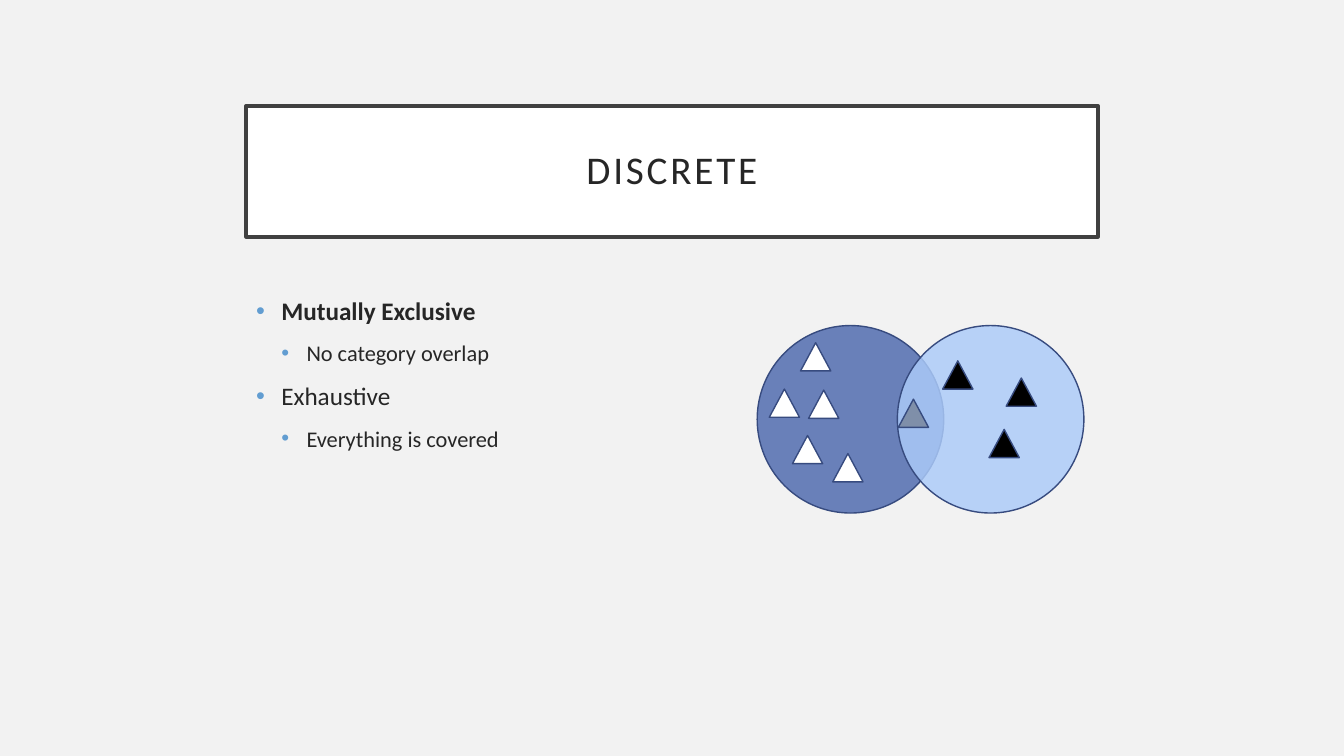
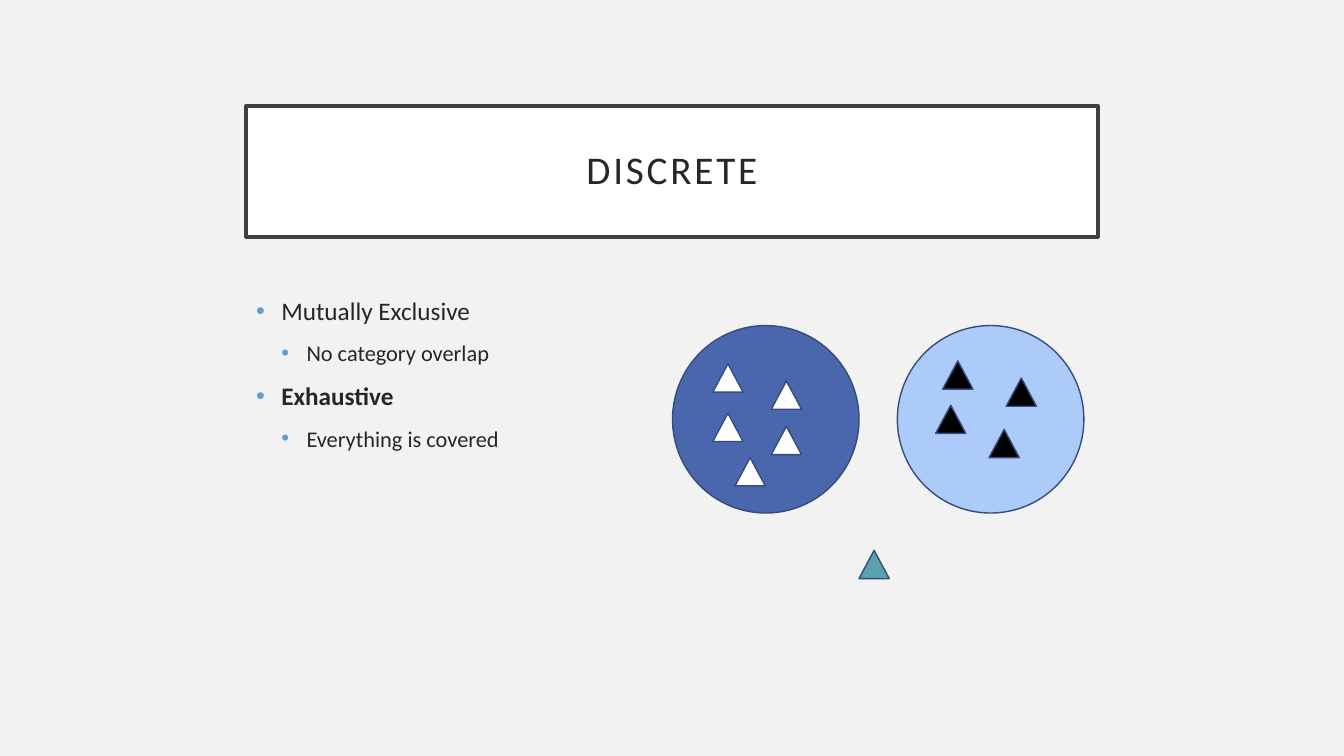
import pptx
import pptx.util
import pptx.dml.color
import pptx.enum.shapes
import pptx.enum.text
import pptx.oxml
import pptx.oxml.ns

Inches = pptx.util.Inches
Pt = pptx.util.Pt
Shape = pptx.enum.shapes.MSO_SHAPE
qn = pptx.oxml.ns.qn


class Theme:
    font = "Calibri"
    back = "F2F2F2"
    white = "FFFFFF"
    black = "000000"
    text = "262626"
    frame = "404040"
    bullet = "629DD1"
    edge = "374B7F"
    navy = "4A66AC"
    sky = "ACCBF9"
    slate = "7F8FA9"
    teal = "5AA2AE"
    head = 28
    sizes = (18, 16)


def paint(item, fill, edge, width):
    item.fill.solid()
    item.fill.fore_color.rgb = pptx.dml.color.RGBColor.from_string(fill)
    item.line.color.rgb = pptx.dml.color.RGBColor.from_string(edge)
    item.line.width = Pt(width)


def style(para, size, bold=False):
    para.font.name = Theme.font
    para.font.size = Pt(size)
    para.font.bold = bold
    para.font.color.rgb = pptx.dml.color.RGBColor.from_string(Theme.text)


points = [
    (0, "Mutually Exclusive"),
    (1, "No category overlap"),
    (0, "Exhaustive"),
    (1, "Everything is covered"),
]
shared = [(9.35, 3.58), (9.98, 3.75), (9.81, 4.26)]
pages = [
    {
        "bold": "Mutually Exclusive",
        "rings": [(7.51, Theme.navy, 81), (8.9, Theme.sky, 83)],
        "marks": [
            (Theme.white, [(8.02, 3.87), (7.94, 3.4), (7.86, 4.32), (7.63, 3.86), (8.26, 4.5)]),
            (Theme.slate, [(8.91, 3.96)]),
            (Theme.black, shared),
        ],
    },
    {
        "bold": "Exhaustive",
        "rings": [(6.67, Theme.navy, 100), (8.9, Theme.sky, 100)],
        "marks": [
            (Theme.white, [(7.65, 3.78), (7.07, 3.61), (7.07, 4.1), (7.65, 4.23), (7.29, 4.54)]),
            (Theme.black, [(9.28, 4.02)] + shared),
            (Theme.teal, [(8.52, 5.46)]),
        ],
    },
]

deck = pptx.Presentation()
deck.slide_width = Inches(13.33)
deck.slide_height = Inches(7.5)
ground = deck.slide_master.background.fill
ground.solid()
ground.fore_color.rgb = pptx.dml.color.RGBColor.from_string(Theme.back)

for page in pages:
    slide = deck.slides.add_slide(deck.slide_layouts[1])

    title = slide.shapes.title
    title.left, title.top = Inches(2.44), Inches(1.05)
    title.width, title.height = Inches(8.45), Inches(1.3)
    paint(title, Theme.white, Theme.frame, 2.5)
    frame = title.text_frame
    frame.text = "DISCRETE"
    frame.vertical_anchor = pptx.enum.text.MSO_ANCHOR.MIDDLE
    frame.margin_left = frame.margin_right = Inches(0.2)
    frame.margin_top = frame.margin_bottom = Inches(0.2)
    para = frame.paragraphs[0]
    para.alignment = pptx.enum.text.PP_ALIGN.CENTER
    para.line_spacing = 0.9
    style(para, Theme.head)
    para.runs[0]._r.get_or_add_rPr().set("spc", "200")

    body = slide.placeholders[1]
    body.left, body.top = Inches(2.44), Inches(2.88)
    body.width, body.height = Inches(8.45), Inches(3.39)
    frame = body.text_frame
    frame.text = "\n".join(words for level, words in points)
    for para, (level, words) in zip(frame.paragraphs, points):
        para.level = level
        para.space_before = Pt(10)
        style(para, Theme.sizes[level], words == page["bold"])
        props = para._p.get_or_add_pPr()
        props.set("marL", str(Inches(0.25 * (level + 1))))
        props.set("indent", str(Inches(-0.25)))
        marker = pptx.oxml.parse_xml(
            f'<a:pPr {pptx.oxml.ns.nsdecls("a")}>'
            f'<a:buClr><a:srgbClr val="{Theme.bullet}"/></a:buClr>'
            '<a:buFont typeface="Arial"/><a:buChar char="•"/></a:pPr>'
        )
        spot = props.find(qn("a:spcBef"))
        for part in reversed(list(marker)):
            spot.addnext(part)

    for left, fill, alpha in page["rings"]:
        ring = slide.shapes.add_shape(
            Shape.OVAL, Inches(left), Inches(3.23), Inches(1.85), Inches(1.86))
        ring.shadow.inherit = False
        paint(ring, fill, Theme.edge, 1)
        if alpha < 100:
            tint = ring._element.spPr.find(qn("a:solidFill"))[0]
            tint.append(pptx.oxml.parse_xml(
                f'<a:alpha {pptx.oxml.ns.nsdecls("a")} val="{alpha * 1000}"/>'))

    for fill, spots in page["marks"]:
        for left, top in spots:
            mark = slide.shapes.add_shape(
                Shape.ISOSCELES_TRIANGLE, Inches(left), Inches(top), Inches(0.3), Inches(0.28))
            mark.shadow.inherit = False
            paint(mark, fill, Theme.edge, 1)

deck.save("out.pptx")
